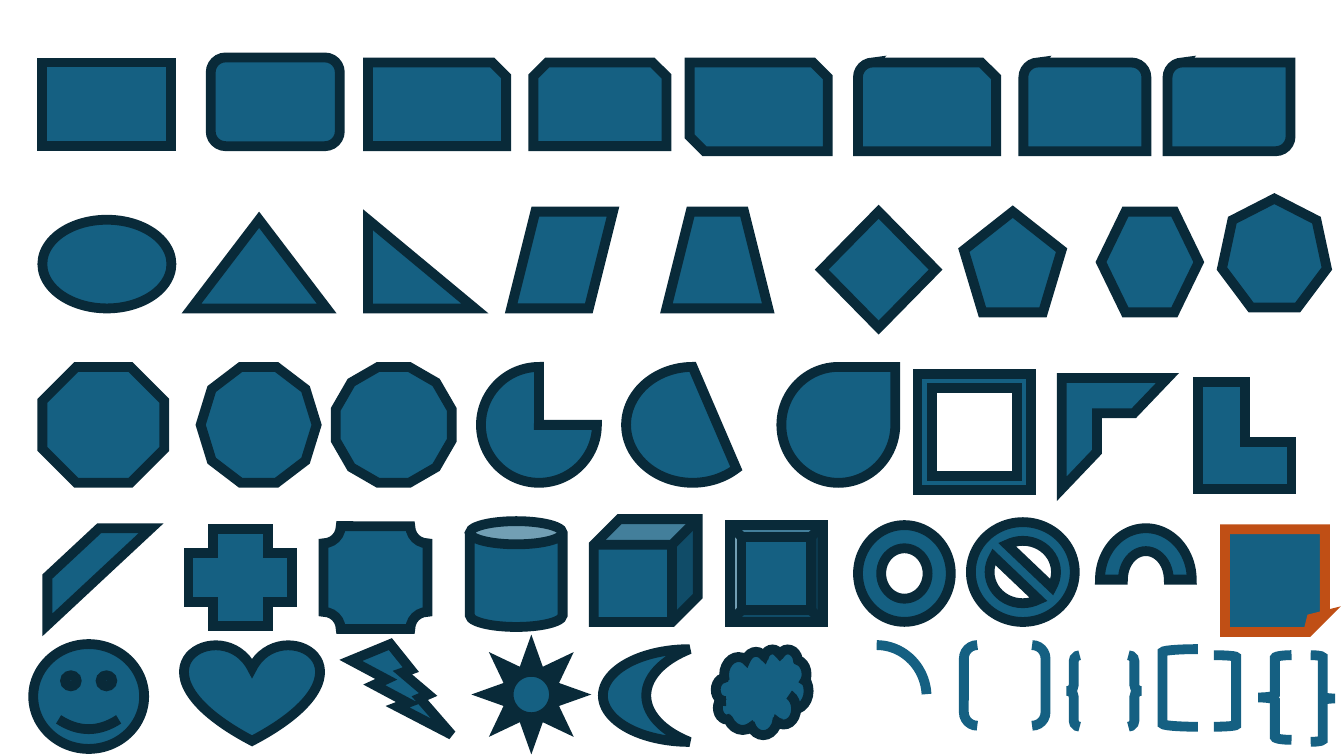
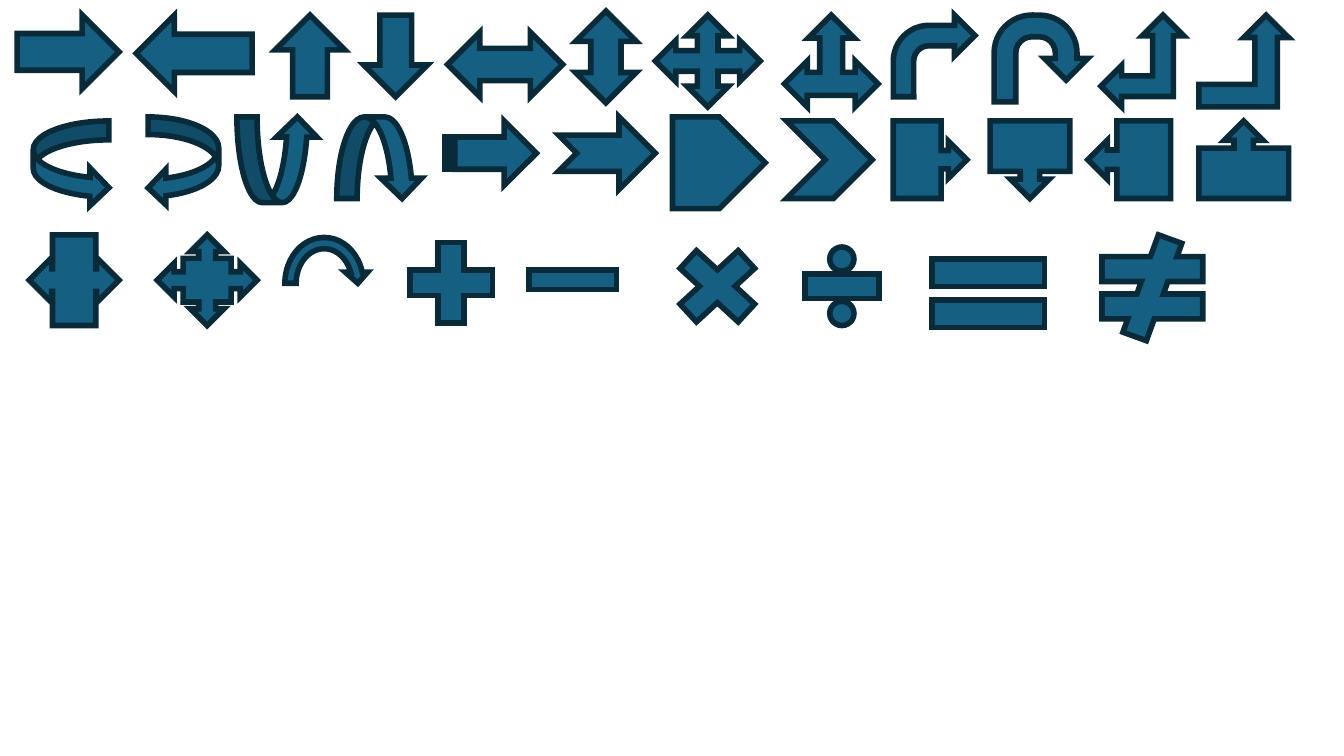
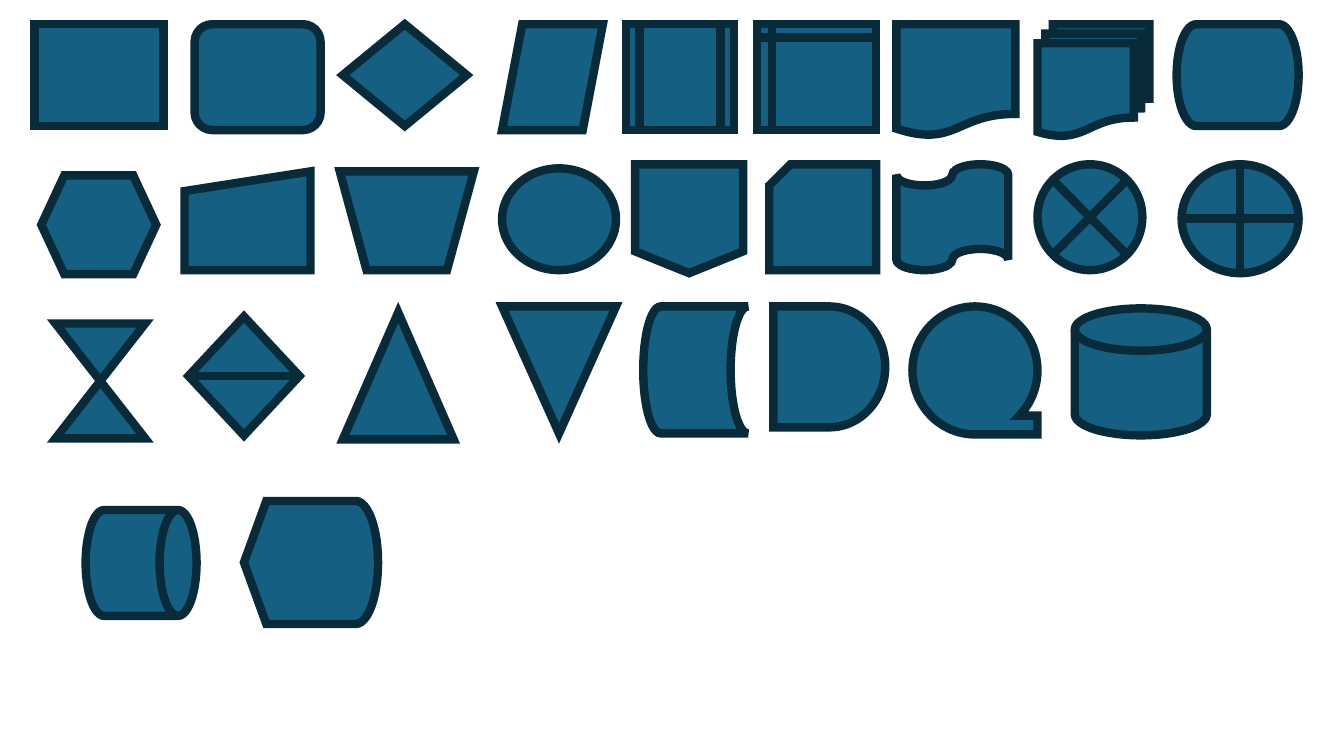
import dataclasses

import pptx
import pptx.dml.color
import pptx.enum.shapes
import pptx.oxml
import pptx.oxml.ns
import pptx.util

Inches = pptx.util.Inches
SHAPE = pptx.enum.shapes.MSO_SHAPE


@dataclasses.dataclass(frozen=True)
class Theme:
    background: str = "FFFFFF"
    fill: str = "156082"
    outline: str = "092A39"
    accent: str = "C04F15"


THEME = Theme()

OPEN_SHAPES = {
    "ARC", "DOUBLE_BRACKET", "DOUBLE_BRACE", "LEFT_BRACKET",
    "RIGHT_BRACKET", "LEFT_BRACE", "RIGHT_BRACE",
}
OUTLINES = {"FOLDED_CORNER": THEME.accent, **dict.fromkeys(OPEN_SHAPES, THEME.fill)}
ADJUSTMENTS = {"ARC": (162, 214.024)}

BASIC_ROWS = [
    (0.62, 0.88, [
        ("RECTANGLE", 0.42, 1.28, 0.83),
        ("ROUNDED_RECTANGLE", 2.09, 1.28, 0.88, 0.57),
        ("SNIP_1_RECTANGLE", 3.65, 1.37, 0.83),
        ("SNIP_2_SAME_RECTANGLE", 5.29, 1.32, 0.83),
        ("SNIP_2_DIAG_RECTANGLE", 6.84, 1.37),
        ("SNIP_ROUND_RECTANGLE", 8.51, 1.37),
        ("ROUND_2_SAME_RECTANGLE", 10.15, 1.22),
        ("ROUND_2_DIAG_RECTANGLE", 11.58, 1.22),
    ]),
    (2.1, 0.96, [
        ("OVAL", 0.42, 1.28, 0.88, 2.18),
        ("ISOSCELES_TRIANGLE", 1.9, 1.34, 0.88, 2.18),
        ("RIGHT_TRIANGLE", 3.65, 1.06, 0.88, 2.18),
        ("PARALLELOGRAM", 5.07, 1.01),
        ("TRAPEZOID", 6.61, 1.01),
        ("DIAMOND", 8.15, 1.13, 1.15),
        ("REGULAR_PENTAGON", 9.56, 0.97, 1),
        ("HEXAGON", 10.92, 0.97, 1),
        ("HEPTAGON", 12.12, 1.04, 1.08, 1.97),
    ]),
    (3.64, 1.15, [
        ("OCTAGON", 0.42, 1.21),
        ("DECAGON", 1.99, 1.15),
        ("DODECAGON", 3.33, 1.15),
        ("PIE", 4.77, 1.15),
        ("CHORD", 6.21, 1.32),
        ("TEAR", 7.75, 1.13),
        ("FRAME", 9.1, 1.13, 1.15, 3.71),
        ("HALF_FRAME", 10.53, 1.05, 1.1, 3.75),
        ("CORNER", 11.88, 0.93, 1.06, 3.79),
    ]),
    (5.21, 0.96, [
        ("DIAGONAL_STRIPE", 0.47, 1.03, 0.96, 5.24),
        ("CROSS", 1.87, 1.03, 0.96, 5.25),
        ("PLAQUE", 3.21, 1.03, 1.02, 5.22),
        ("CAN", 4.66, 0.92, 1.05, 5.17),
        ("CUBE", 5.89, 1.03, 1.02, 5.15),
        ("BEVEL", 7.24, 0.92),
        ("DONUT", 8.51, 0.92),
        ("NO_SYMBOL", 9.63, 1.03, 0.99, 5.18),
        ("BLOCK_ARC", 10.91, 0.91, 1.02, 5.24),
        ("FOLDED_CORNER", 12.15, 0.99, 1.02, 5.25),
    ]),
    (6.44, 0.9, [
        ("SMILEY_FACE", 0.33, 1.1, 1.04, 6.39),
        ("HEART", 1.83, 1.34, 0.96, 6.39),
        ("LIGHTNING_BOLT", 3.48, 1, 0.9, 6.39),
        ("SUN", 4.82, 0.9),
        ("MOON", 5.98, 0.86, 0.92),
        ("CLOUD", 7.1, 0.92, 0.85),
        ("ARC", 8.2, 0.99, 1.03, 6.4),
        ("DOUBLE_BRACKET", 9.56, 0.81, 0.8, 6.4),
        ("DOUBLE_BRACE", 10.59, 0.72, 0.71, 6.5),
        ("LEFT_BRACKET", 11.53, 0.35, 0.77),
        ("RIGHT_BRACKET", 12.04, 0.22, 0.71, 6.5),
        ("LEFT_BRACE", 12.48, 0.33, 0.84, 6.5),
        ("RIGHT_BRACE", 13, 0.24, 0.86, 6.5),
    ]),
]

ARROW_ROWS = [
    (0.15, 0.91, [
        ("RIGHT_ARROW", 0.17, 1.01, 0.73),
        ("LEFT_ARROW", 1.35, 1.15, 0.76),
        ("UP_ARROW", 2.73, 0.69, 0.81),
        ("DOWN_ARROW", 3.61, 0.63, 0.81),
        ("LEFT_RIGHT_ARROW", 4.44, 1.14, 0.64, 0.32),
        ("UP_DOWN_ARROW", 5.71, 0.6, 0.91, 0.11),
        ("QUAD_ARROW", 6.5, 1.04),
        ("LEFT_RIGHT_UP_ARROW", 7.78, 0.93),
        ("BENT_ARROW", 8.86, 0.81, 0.81),
        ("U_TURN_ARROW", 9.86, 0.93, 0.86),
        ("LEFT_UP_ARROW", 10.92, 0.82),
        ("BENT_UP_ARROW", 11.89, 0.89),
    ]),
    (1.2, 0.77, [
        ("CURVED_RIGHT_ARROW", 0.33, 0.75, 0.85),
        ("CURVED_LEFT_ARROW", 1.47, 0.7, 0.88, 1.16),
        ("CURVED_UP_ARROW", 2.35, 0.8, 0.85, 1.16),
        ("CURVED_DOWN_ARROW", 3.34, 0.85, 0.81, 1.16),
        ("STRIPED_RIGHT_ARROW", 4.41, 0.91, 0.64),
        ("NOTCHED_RIGHT_ARROW", 5.54, 0.96, 0.72, 1.16),
        ("PENTAGON", 6.67, 0.92, 0.91, 1.16),
        ("CHEVRON", 7.8, 0.85),
        ("RIGHT_ARROW_CALLOUT", 8.86, 0.73),
        ("DOWN_ARROW_CALLOUT", 9.82, 0.79),
        ("LEFT_ARROW_CALLOUT", 10.79, 0.82),
        ("UP_ARROW_CALLOUT", 11.89, 0.89),
    ]),
    (2.33, 1.02, [
        ("LEFT_RIGHT_ARROW_CALLOUT", 0.29, 0.89, 0.9),
        ("QUAD_ARROW_CALLOUT", 1.56, 0.99, 0.9),
        ("CIRCULAR_ARROW", 2.77, 0.89, 1.02, 2.3),
        ("MATH_PLUS", 3.92, 1.11, 1.09, 2.26),
        ("MATH_MINUS", 5.09, 1.18, 0.83, 2.36),
        ("MATH_MULTIPLY", 6.56, 1.11),
        ("MATH_DIVIDE", 7.85, 1),
        ("MATH_EQUAL", 9.04, 1.52, 1.16),
        ("MATH_NOT_EQUAL", 10.75, 1.36, 1.05),
    ]),
]

FLOWCHART_ROWS = [
    (0.24, 1.05, [
        ("FLOWCHART_PROCESS", 0.34, 1.28, 1.01),
        ("FLOWCHART_ALTERNATE_PROCESS", 1.93, 1.25),
        ("FLOWCHART_DECISION", 3.4, 1.23, 1.01),
        ("FLOWCHART_DATA", 4.98, 1),
        ("FLOWCHART_PREDEFINED_PROCESS", 6.21, 1.07),
        ("FLOWCHART_INTERNAL_STORAGE", 7.51, 1.18),
        ("FLOWCHART_DOCUMENT", 8.89, 1.18, 1.11),
        ("FLOWCHART_MULTIDOCUMENT", 10.29, 1.11, 1.11),
        ("FLOWCHART_TERMINATOR", 11.67, 1.21, 1.01),
    ]),
    (1.63, 1.05, [
        ("FLOWCHART_PREPARATION", 0.41, 1.14, 0.98, 1.74),
        ("FLOWCHART_MANUAL_INPUT", 1.83, 1.25, 0.98, 1.7),
        ("FLOWCHART_MANUAL_OPERATION", 3.37, 1.33, 0.98, 1.7),
        ("FLOWCHART_CONNECTOR", 4.98, 1.13, 1.01, 1.67),
        ("FLOWCHART_OFFPAGE_CONNECTOR", 6.3, 1.07, 1.08),
        ("FLOWCHART_CARD", 7.63, 1.06),
        ("FLOWCHART_PUNCHED_TAPE", 8.89, 1.11),
        ("FLOWCHART_SUMMING_JUNCTION", 10.29, 1.04),
        ("FLOWCHART_OR", 11.72, 1.16, 1.08),
    ]),
    (3.04, 1.26, [
        ("FLOWCHART_COLLATE", 0.55, 0.89, 1.14, 3.21),
        ("FLOWCHART_SORT", 1.87, 1.1, 1.18, 3.14),
        ("FLOWCHART_EXTRACT", 3.4, 1.1, 1.26, 3.1),
        ("FLOWCHART_MERGE", 4.98, 1.13),
        ("FLOWCHART_STORED_DATA", 6.38, 1.04),
        ("FLOWCHART_DELAY", 7.67, 1.11, 1.2),
        ("FLOWCHART_SEQUENTIAL_ACCESS_STORAGE", 9.05, 1.24, 1.27),
        ("FLOWCHART_MAGNETIC_DISK", 10.66, 1.31, 1.26, 3.06),
    ]),
    (5.06, 1.05, [
        ("FLOWCHART_DIRECT_ACCESS_STORAGE", 0.85, 1.1),
        ("FLOWCHART_DISPLAY", 2.42, 1.33, 1.22, 4.97),
    ]),
]

SLIDES = [(7, BASIC_ROWS), (4, ARROW_ROWS), (6, FLOWCHART_ROWS)]


def color(value):
    return pptx.dml.color.RGBColor.from_string(value)


def add_preset(slide, name, left, top, width, height, line_width):
    shape = slide.shapes.add_shape(
        getattr(SHAPE, name), Inches(left), Inches(top), Inches(width), Inches(height))
    shape.shadow.inherit = False
    for index, value in enumerate(ADJUSTMENTS.get(name, ())):
        shape.adjustments[index] = value
    if name in OPEN_SHAPES:
        shape.fill.background()
    else:
        shape.fill.solid()
        shape.fill.fore_color.rgb = color(THEME.fill)
    shape.line.width = pptx.util.Pt(line_width)
    shape.line.color.rgb = color(OUTLINES.get(name, THEME.outline))
    line = shape.element.spPr.find(pptx.oxml.ns.qn("a:ln"))
    line.append(pptx.oxml.parse_xml(
        f'<a:miter {pptx.oxml.ns.nsdecls("a")} lim="800000"/>'))


def add_slide(presentation, line_width, rows):
    slide = presentation.slides.add_slide(presentation.slide_layouts[6])
    slide.background.fill.solid()
    slide.background.fill.fore_color.rgb = color(THEME.background)
    for row_top, row_height, items in rows:
        for name, left, width, *own in items:
            height, top = (*own, *(row_height, row_top)[len(own):])
            add_preset(slide, name, left, top, width, height, line_width)


def main():
    presentation = pptx.Presentation()
    presentation.slide_width = Inches(13.33)
    presentation.slide_height = Inches(7.5)
    for line_width, rows in SLIDES:
        add_slide(presentation, line_width, rows)
    presentation.save("out.pptx")


if __name__ == "__main__":
    main()
